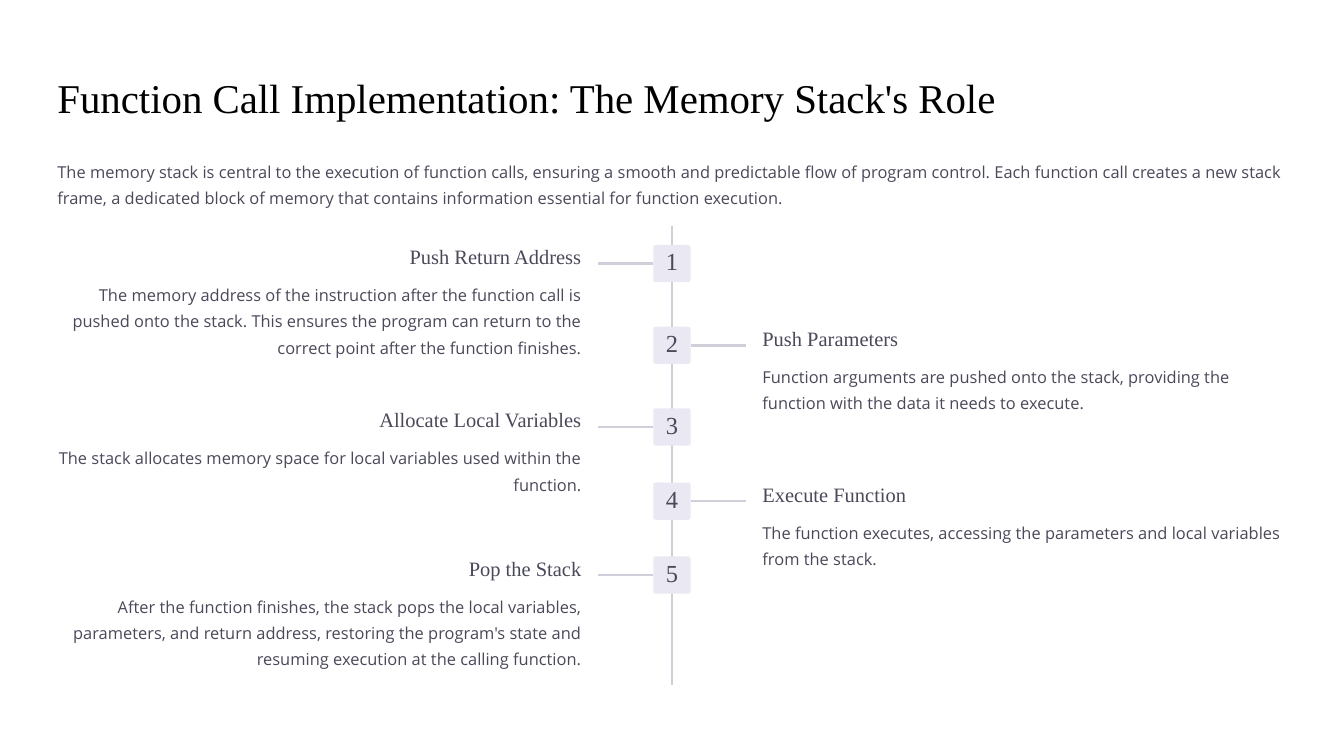
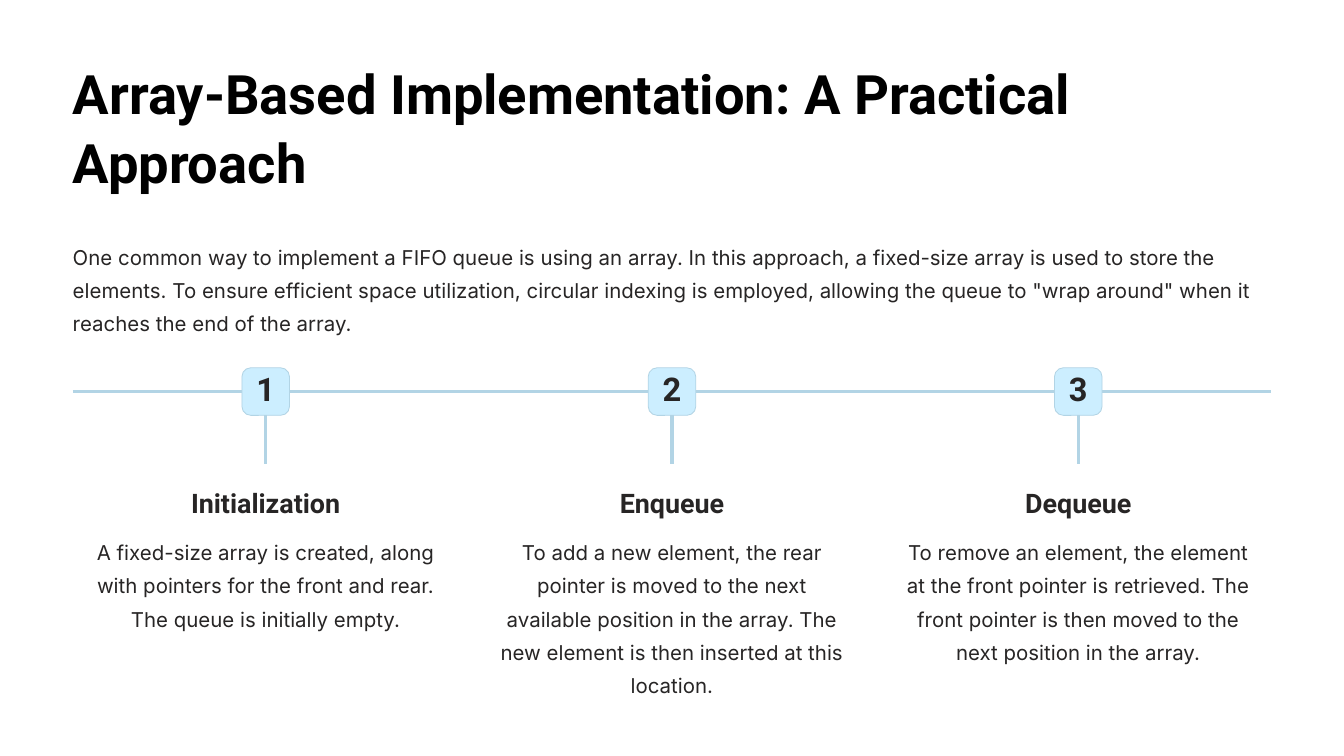
import pptx
import pptx.dml.color
import pptx.enum.shapes
import pptx.enum.text
import pptx.oxml.ns
import pptx.util
from lxml import etree

Pt = pptx.util.Pt
ALIGN = pptx.enum.text.PP_ALIGN
ANCHOR = pptx.enum.text.MSO_ANCHOR
SHAPE = pptx.enum.shapes.MSO_SHAPE
TOP, LEFT, BOTTOM, RIGHT = range(4)

SERIF = {
    "title": dict(name="Times New Roman", size=29.2, color="000000", bold=False, leading=36.7),
    "body": dict(name="Open Sans", size=11.7, color="49495A", bold=False, leading=18.8),
    "heading": dict(name="Times New Roman", size=14.6, color="49495A", bold=False, leading=18.3),
    "number": dict(name="Times New Roman", size=17.5, color="49495A", bold=False, leading=17.5),
    "line": dict(color="D0CED9", width=1.7),
    "badge": dict(size=26.6, radius=0.067, fill="EAE8F3", border=None),
    "heading_gap": 7,
}
SANS = {
    "title": dict(name="Roboto", size=38.8, color="000000", bold=True, leading=48.8),
    "body": dict(name="Inter", size=14.6, color="272525", bold=False, leading=23.8),
    "heading": dict(name="Roboto", size=19.2, color="272525", bold=True, leading=24.2),
    "number": dict(name="Roboto", size=23.3, color="272525", bold=True, leading=23.3),
    "line": dict(color="B2D4E5", width=2.2),
    "badge": dict(size=34, radius=0.187, fill="CCEEFF", border="B2D4E5"),
    "heading_gap": 9,
}

STACK_INTRO = (
    "The memory stack is central to the execution of function calls, ensuring a smooth and "
    "predictable flow of program control. Each function call creates a new stack frame, a "
    "dedicated block of memory that contains information essential for function execution.")
# Offset of the badge below the top of the timeline, heading, description
STACK_STEPS = [
    (13.7, "Push Return Address",
     "The memory address of the instruction after the function call is pushed onto the stack. "
     "This ensures the program can return to the correct point after the function finishes."),
    (72.1, "Push Parameters",
     "Function arguments are pushed onto the stack, providing the function with the data it "
     "needs to execute."),
    (130.4, "Allocate Local Variables",
     "The stack allocates memory space for local variables used within the function."),
    (183.4, "Execute Function",
     "The function executes, accessing the parameters and local variables from the stack."),
    (236.2, "Pop the Stack",
     "After the function finishes, the stack pops the local variables, parameters, and return "
     "address, restoring the program's state and resuming execution at the calling function."),
]

QUEUE_INTRO = (
    "One common way to implement a FIFO queue is using an array. In this approach, a fixed-size "
    "array is used to store the elements. To ensure efficient space utilization, circular "
    "indexing is employed, allowing the queue to \"wrap around\" when it reaches the end of "
    "the array.")
QUEUE_STEPS = [
    ("Initialization",
     "A fixed-size array is created, along with pointers for the front and rear. The queue is "
     "initially empty."),
    ("Enqueue",
     "To add a new element, the rear pointer is moved to the next available position in the "
     "array. The new element is then inserted at this location."),
    ("Dequeue",
     "To remove an element, the element at the front pointer is retrieved. The front pointer "
     "is then moved to the next position in the array."),
]


def rgb(hex_color):
    return pptx.dml.color.RGBColor.from_string(hex_color)


def write(tf, paragraphs, align=ALIGN.LEFT, anchor=ANCHOR.TOP, gap=0):
    """Fill a text frame with (text, style) paragraphs, gap points apart."""
    frame = dict(word_wrap=True, auto_size=pptx.enum.text.MSO_AUTO_SIZE.NONE,
                 vertical_anchor=anchor, margin_left=0, margin_top=0,
                 margin_right=0, margin_bottom=0)
    for key, value in frame.items():
        setattr(tf, key, value)
    for i, (text, style) in enumerate(paragraphs):
        p = tf.add_paragraph() if i else tf.paragraphs[0]
        layout = dict(alignment=align, line_spacing=Pt(style["leading"]),
                      space_before=Pt(gap if i else 0), space_after=Pt(0))
        for key, value in layout.items():
            setattr(p, key, value)
        r = p.add_run()
        r.text = text
        font = dict(name=style["name"], size=Pt(style["size"]), bold=style["bold"])
        for key, value in font.items():
            setattr(r.font, key, value)
        r.font.color.rgb = rgb(style["color"])


def add_text(slide, box, paragraphs, **options):
    sp = slide.shapes.add_textbox(*map(Pt, box))
    write(sp.text_frame, paragraphs, **options)


def add_line(slide, theme, x1, y1, x2, y2):
    line = slide.shapes.add_connector(
        pptx.enum.shapes.MSO_CONNECTOR.STRAIGHT, Pt(x1), Pt(y1), Pt(x2), Pt(y2))
    line.line.color.rgb = rgb(theme["line"]["color"])
    line.line.width = Pt(theme["line"]["width"])
    etree.SubElement(line._element.spPr, pptx.oxml.ns.qn("a:effectLst"))
    return line


def add_badge(slide, theme, cx, cy, number):
    badge = theme["badge"]
    size = badge["size"]
    sp = slide.shapes.add_shape(SHAPE.ROUNDED_RECTANGLE, Pt(cx - size / 2), Pt(cy - size / 2),
                                Pt(size), Pt(size))
    sp.adjustments[0] = badge["radius"]
    sp.shadow.inherit = False
    sp.fill.solid()
    sp.fill.fore_color.rgb = rgb(badge["fill"])
    if badge["border"]:
        sp.line.color.rgb = rgb(badge["border"])
        sp.line.width = Pt(0.6)
    else:
        sp.line.fill.background()
    write(sp.text_frame, [(str(number), theme["number"])], ALIGN.CENTER, ANCHOR.MIDDLE)
    return sp


def add_step(slide, theme, box, heading, description, align):
    paragraphs = [(heading, theme["heading"]), (description, theme["body"])]
    add_text(slide, box, paragraphs, align=align, gap=theme["heading_gap"])


def vertical_timeline(slide, theme, box, steps):
    """Steps alternate left and right of a central line."""
    x, y, w, h = box
    cx = x + w / 2
    size, stub, gap = theme["badge"]["size"], 39.7, 64.6
    column = w / 2 - gap
    add_line(slide, theme, cx, y, cx, y + h)
    for i, (offset, heading, description) in enumerate(steps):
        on_right = i % 2 == 1
        side = 1 if on_right else -1
        top = y + offset
        cy = top + size / 2
        badge = add_badge(slide, theme, cx, cy, i + 1)
        edge = cx + side * size / 2
        line = add_line(slide, theme, edge, cy, edge + side * stub, cy)
        line.begin_connect(badge, RIGHT if on_right else LEFT)
        add_step(slide, theme, (cx + gap if on_right else x, top - 1.4, column, 82),
                 heading, description, ALIGN.LEFT if on_right else ALIGN.RIGHT)


def horizontal_timeline(slide, theme, box, steps):
    """Steps hang in equal columns below a line."""
    x, y, w, h = box
    size, pitch, column, text_top = theme["badge"]["size"], 290.2, 245.5, 83.6
    cy = y + size / 2
    add_line(slide, theme, x, cy, x + w, cy)
    for i, (heading, description) in enumerate(steps):
        cx = x + w / 2 + (i - (len(steps) - 1) / 2) * pitch
        badge = add_badge(slide, theme, cx, cy, i + 1)
        line = add_line(slide, theme, cx, y + size, cx, y + 68.4)
        line.begin_connect(badge, BOTTOM)
        add_step(slide, theme, (cx - column / 2, y + text_top, column, h - text_top),
                 heading, description, ALIGN.CENTER)


def add_slide(prs, theme, title, title_box, intro, intro_box):
    slide = prs.slides.add_slide(prs.slide_layouts[5])
    sp = slide.shapes.title
    sp.left, sp.top, sp.width, sp.height = map(Pt, title_box)
    write(sp.text_frame, [(title, theme["title"])])
    add_text(slide, intro_box, [(intro, theme["body"])])
    return slide


def main():
    prs = pptx.Presentation()
    prs.slide_width, prs.slide_height = Pt(960), Pt(540)

    slide = add_slide(prs, SERIF, "Function Call Implementation: The Memory Stack's Role",
                      (41, 50.4, 878, 36.7), STACK_INTRO, (41, 110.9, 878, 37.6))
    vertical_timeline(slide, SERIF, (41, 161.3, 878, 328), STACK_STEPS)

    slide = add_slide(prs, SANS, "Array-Based Implementation: A Practical Approach",
                      (52, 41, 856, 97.6), QUEUE_INTRO, (52, 168.5, 856, 71.4))
    horizontal_timeline(slide, SANS, (52, 262.7, 856, 236.3), QUEUE_STEPS)

    prs.save("out.pptx")


if __name__ == "__main__":
    main()
